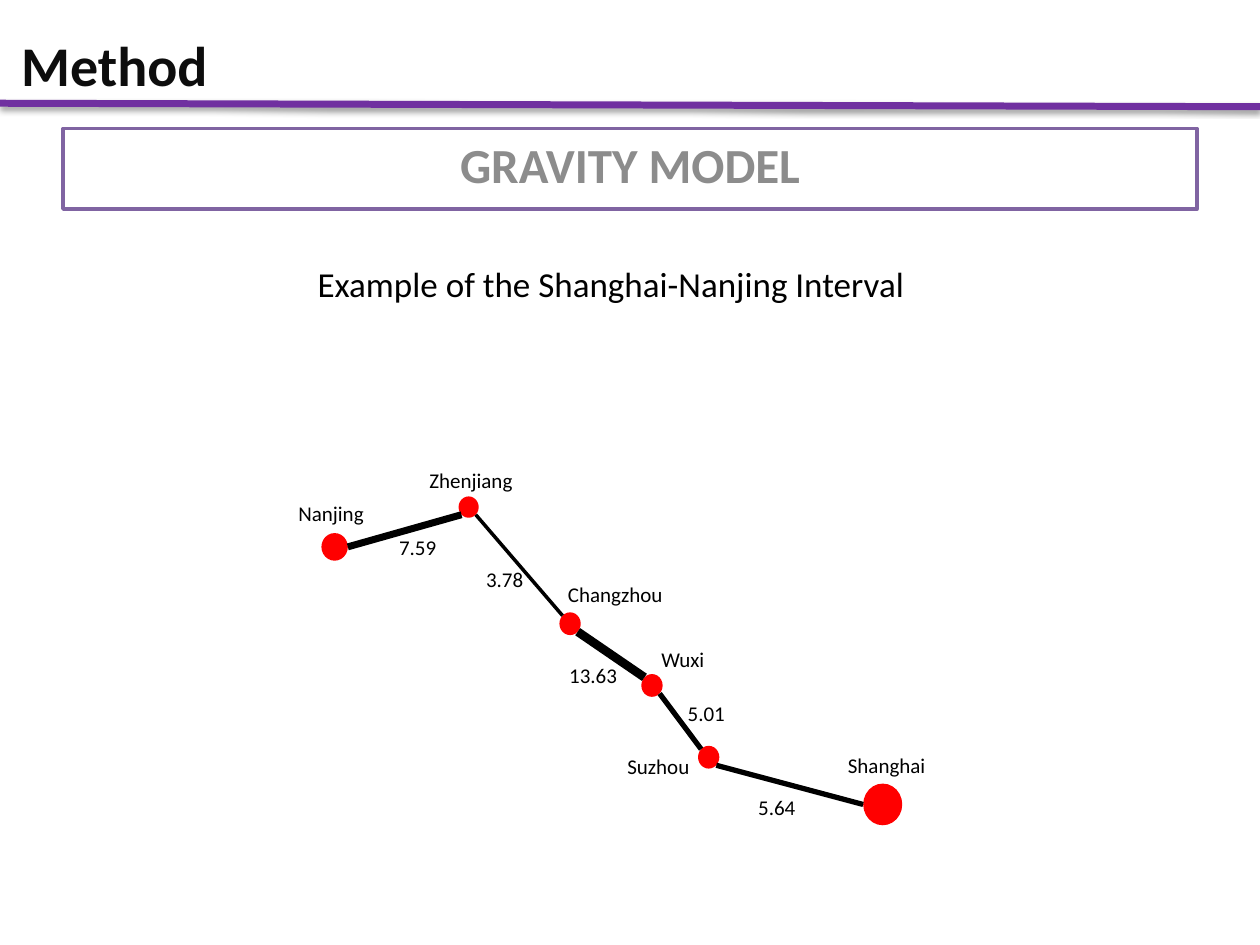
from lxml import etree
from pptx import Presentation
from pptx.dml.color import RGBColor
from pptx.enum.shapes import MSO_CONNECTOR, MSO_SHAPE
from pptx.enum.text import MSO_ANCHOR, PP_ALIGN
from pptx.oxml import parse_xml
from pptx.oxml.ns import nsdecls, qn
from pptx.util import Pt

STRAIGHT = MSO_CONNECTOR.STRAIGHT
OVAL, RECT = MSO_SHAPE.OVAL, MSO_SHAPE.RECTANGLE
LEFT, CENTER = PP_ALIGN.LEFT, PP_ALIGN.CENTER
TOP, MIDDLE = MSO_ANCHOR.TOP, MSO_ANCHOR.MIDDLE

BLACK = RGBColor(0x00, 0x00, 0x00)
NEAR_BLACK = RGBColor(0x0D, 0x0D, 0x0D)
WHITE = RGBColor(0xFF, 0xFF, 0xFF)
GREY = RGBColor(0x8C, 0x8C, 0x8C)
RED = RGBColor(0xFF, 0x00, 0x00)
PURPLE = RGBColor(0x70, 0x30, 0xA0)
SOFT_PURPLE = RGBColor(0x80, 0x64, 0xA2)
FONT = "Calibri"
LABEL_HEIGHT = 21.8
DIAG = 0.71  # share of the radius at a 45 degree point of a circle

# city: centre x, centre y, width, height, label left, label top, label width
CITIES = {
    "Shanghai": (344.4, 199.7, 22.3, 23.8, 317.4, 166.2, 59),
    "Suzhou": (245, 172.7, 12.2, 13, 191.4, 167, 50.4),
    "Wuxi": (212.6, 131.7, 12.2, 13, 210.8, 105.8, 39.6),
    "Changzhou": (165.8, 96.4, 12.2, 13, 157.5, 69, 69.1),
    "Zhenjiang": (107.8, 29.8, 11.5, 12.2, 78.3, 3.5, 62.6),
    "Nanjing": (31.2, 52.5, 15.1, 15.8, 3.4, 22.2, 51.8),
}
UPPER_LEFT, LOWER_LEFT, LOWER_RIGHT = (-DIAG, -DIAG), (-DIAG, DIAG), (DIAG, DIAG)
# from, side, to, side, line width, value, label left, label top, label width
LINKS = [
    ("Nanjing", (1, 0), "Zhenjiang", LOWER_LEFT, 4, "7.59", 61, 41.7, 36),
    ("Zhenjiang", LOWER_RIGHT, "Changzhou", UPPER_LEFT, 2, "3.78", 110.7, 60.4, 36),
    ("Changzhou", LOWER_RIGHT, "Wuxi", UPPER_LEFT, 5, "13.63", 158.2, 115.1, 42.5),
    ("Wuxi", LOWER_RIGHT, "Suzhou", UPPER_LEFT, 3, "5.01", 225.9, 136.7, 36),
    ("Suzhou", LOWER_RIGHT, "Shanghai", (-1, 0), 3, "5.64", 266.2, 190.7, 36),
]


def write(sp, text, size=12, color=BLACK, bold=False, align=LEFT, anchor=TOP, wrap=False):
    tf = sp.text_frame
    tf.word_wrap = wrap
    tf.vertical_anchor = anchor
    p = tf.paragraphs[0]
    p.alignment = align
    r = p.add_run()
    r.text = text
    r.font.name, r.font.size, r.font.bold = FONT, Pt(size), bold
    r.font.color.rgb = color


def add_text(s, x, y, w, h, text, **fmt):
    write(s.shapes.add_textbox(Pt(x), Pt(y), Pt(w), Pt(h)), text, **fmt)


def add_shape(s, kind, x, y, w, h, fill, line=None):
    sp = s.shapes.add_shape(kind, Pt(x), Pt(y), Pt(w), Pt(h))
    sp.shadow.inherit = False
    sp.fill.solid()
    sp.fill.fore_color.rgb = fill
    if line is None:
        sp.line.fill.background()
    else:
        sp.line.color.rgb = line
        sp.line.width = Pt(2)
    return sp


def add_line(s, start, end, color, width):
    """Draw a straight line and return its empty effect list."""
    ln = s.shapes.add_connector(STRAIGHT, *(Pt(v) for v in (*start, *end)))
    ln.line.color.rgb = color
    ln.line.width = Pt(width)
    return etree.SubElement(ln._element.spPr, qn("a:effectLst"))


def add_header(s, x, y, w, h):
    effects = add_line(s, (x, y + h - 2), (x + w, y + h), PURPLE, 4)
    effects.append(parse_xml(
        f'<a:outerShdw {nsdecls("a")} blurRad="{Pt(3.1)}" dist="{Pt(1.6)}" dir="5400000"'
        ' rotWithShape="0"><a:srgbClr val="000000"><a:alpha val="38000"/></a:srgbClr>'
        '</a:outerShdw>'))
    add_text(s, x + 5, y + 6.5, w - 72, 60.5, "Method", size=32, color=NEAR_BLACK,
             bold=True, anchor=MIDDLE, wrap=True)


def add_banner(s, x, y, w, h):
    sp = add_shape(s, RECT, x, y, w, h, WHITE, SOFT_PURPLE)
    write(sp, "GRAVITY MODEL", size=28, color=GREY, bold=True, align=CENTER, wrap=True)


def add_city_map(s, x, y):
    for cx, cy, w, h, *_ in CITIES.values():
        add_shape(s, OVAL, x + cx - w / 2, y + cy - h / 2, w, h, RED)

    def edge_point(city, side):
        cx, cy, w, h, *_ = CITIES[city]
        return x + cx + side[0] * w / 2, y + cy + side[1] * h / 2

    for a, side_a, b, side_b, width, *_ in LINKS:
        add_line(s, edge_point(a, side_a), edge_point(b, side_b), BLACK, width)

    labels = [(name, *city[4:]) for name, city in CITIES.items()]
    labels += [link[5:] for link in LINKS]
    for text, left, top, w in labels:
        add_text(s, x + left, y + top, w, LABEL_HEIGHT, text)


def main():
    prs = Presentation()
    prs.slide_width, prs.slide_height = Pt(720), Pt(540)
    s = prs.slides.add_slide(prs.slide_layouts[6])
    add_city_map(s, 160, 260)
    add_banner(s, 36, 73.5, 648, 46)
    add_header(s, 0, 0, 720, 61)
    add_text(s, 172.8, 146.2, 352.8, 31.5, "Example of the Shanghai-Nanjing Interval",
             size=20, align=CENTER)
    prs.save("out.pptx")


if __name__ == "__main__":
    main()
